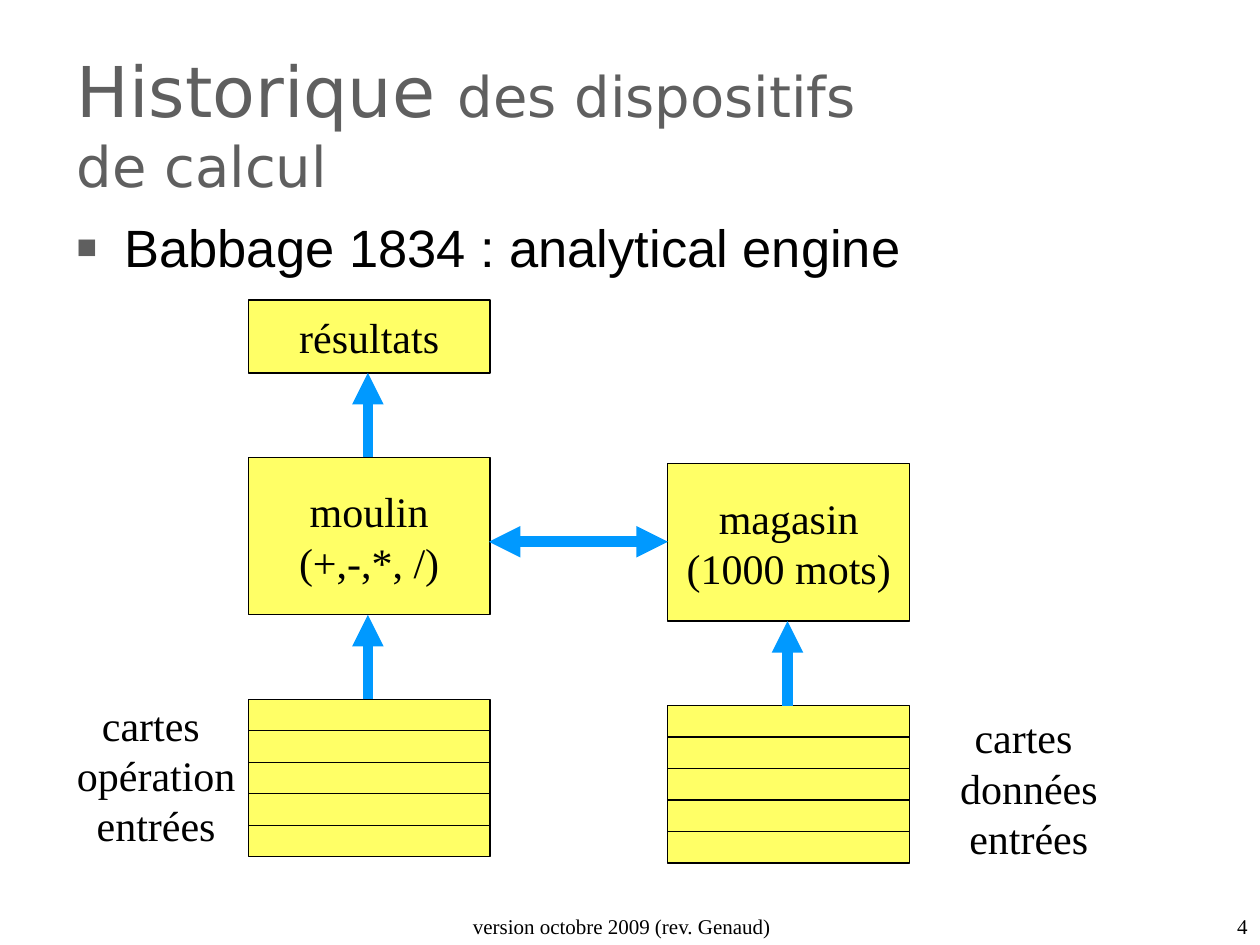
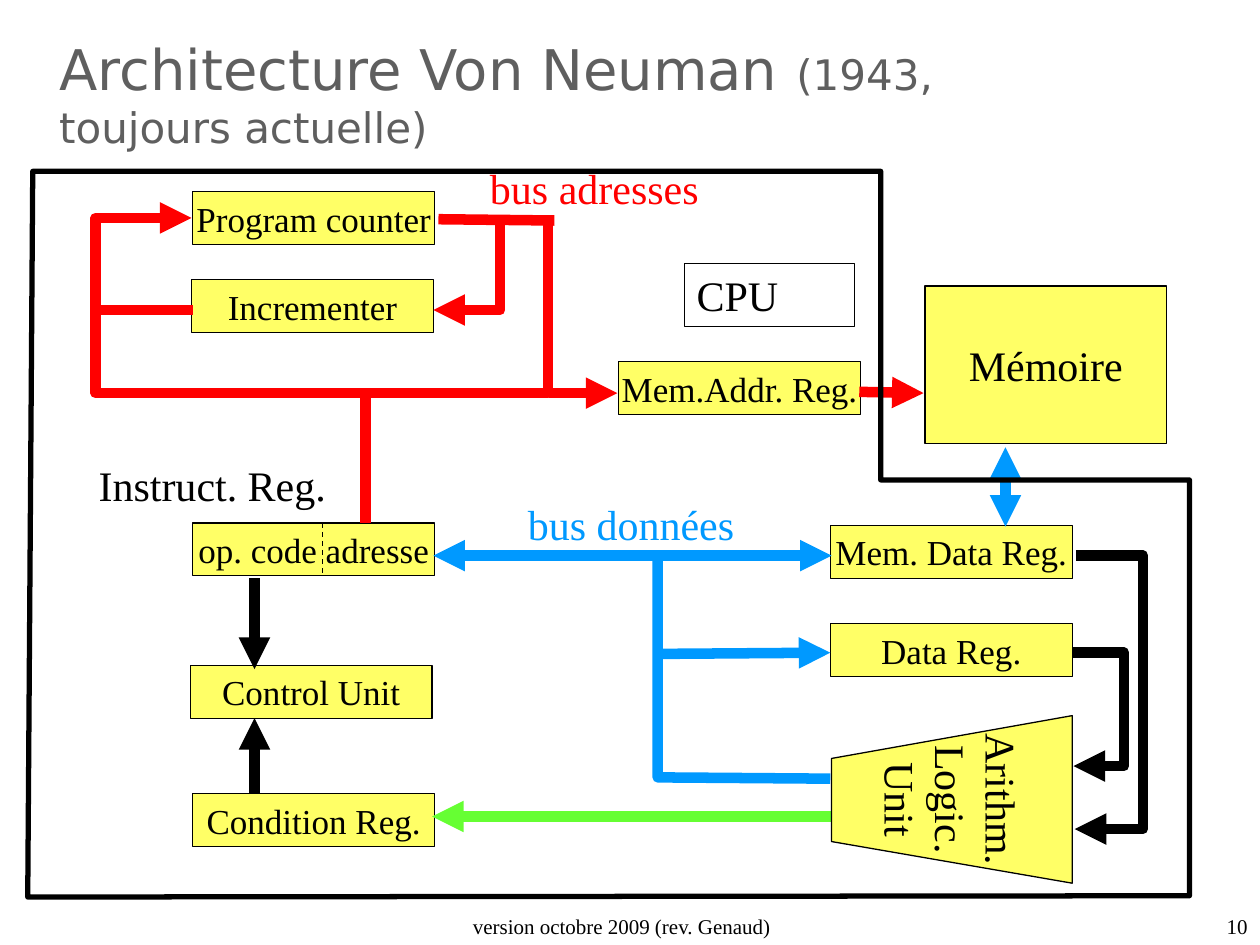
"""Build two slides on the history of computing: Babbage's engine and the Von Neumann machine."""
from dataclasses import dataclass
from typing import Any

from lxml import etree
from pptx import Presentation
from pptx.dml.color import RGBColor
from pptx.enum.dml import MSO_LINE
from pptx.enum.shapes import MSO_CONNECTOR, MSO_SHAPE
from pptx.enum.text import MSO_ANCHOR, MSO_AUTO_SIZE, PP_ALIGN
from pptx.oxml.ns import qn
from pptx.util import Cm, Pt

STRAIGHT = MSO_CONNECTOR.STRAIGHT
RECTANGLE = MSO_SHAPE.RECTANGLE
DASH = MSO_LINE.DASH
TOP, MIDDLE, BOTTOM = MSO_ANCHOR.TOP, MSO_ANCHOR.MIDDLE, MSO_ANCHOR.BOTTOM
LEFT, CENTER, RIGHT = PP_ALIGN.LEFT, PP_ALIGN.CENTER, PP_ALIGN.RIGHT
NO_AUTOFIT = MSO_AUTO_SIZE.NONE

COLORS = {
    "title": "5F5F5F",
    "ink": "000000",
    "box": "FFFF66",
    "data": "0099FF",
    "address": "FF0000",
    "status": "66FF33",
}
SERIF, SANS, TITLE_FONT = "Times New Roman", "Arial", "DejaVu Sans"
CM_PER_INCH = 2.54
BOX_WIDTH = 1.92
TALL, LOW = 1.25, 0.42
THIN, FRAME, BUS = 0.75, 3, 6
CARDS_PER_STACK = 5

Point = tuple[float, float]


@dataclass(frozen=True)
class Box:
    text: str
    left: float
    top: float
    height: float = LOW
    size: int = 20


@dataclass(frozen=True)
class Label:
    text: str
    left: float
    top: float
    width: float
    height: float = 0.5
    size: int = 24
    color: str = "ink"
    align: Any = LEFT
    anchor: Any = TOP
    wrap: bool = True
    font: str = SERIF


@dataclass(frozen=True)
class Flow:
    color: str
    points: tuple[Point, ...]
    start_arrow: bool = False
    end_arrow: bool = True


def length(inches: float) -> Cm:
    return Cm(inches * CM_PER_INCH)


def rgb(color: str) -> RGBColor:
    return RGBColor.from_string(COLORS[color])


def style_run(run: Any, size: int, color: str, font: str) -> None:
    for key, value in {"name": font, "size": Pt(size), "bold": False}.items():
        setattr(run.font, key, value)
    run.font.color.rgb = rgb(color)


def write(shape: Any, text: str, size: int, color: str = "ink", align: Any = CENTER,
          anchor: Any = MIDDLE, wrap: bool = False, font: str = SERIF) -> None:
    frame = shape.text_frame
    layout = {
        "word_wrap": wrap,
        "vertical_anchor": anchor,
        "margin_left": length(0.1),
        "margin_right": length(0.1),
        "margin_top": length(0.05),
        "margin_bottom": length(0.05),
    }
    for key, value in layout.items():
        setattr(frame, key, value)
    frame.text = text
    for paragraph in frame.paragraphs:
        paragraph.alignment = align
        for run in paragraph.runs:
            style_run(run, size, color, font)


def outline(shape: Any, color: str = "ink", width: float = THIN) -> None:
    shape.line.color.rgb = rgb(color)
    shape.line.width = Pt(width)


def fill_box(shape: Any) -> None:
    shape.shadow.inherit = False
    shape.fill.solid()
    shape.fill.fore_color.rgb = rgb("box")
    outline(shape)


def draw_box(slide: Any, box: Box) -> None:
    shape = slide.shapes.add_shape(RECTANGLE, length(box.left), length(box.top),
                                   length(BOX_WIDTH), length(box.height))
    fill_box(shape)
    if box.text:
        write(shape, box.text, box.size)


def draw_label(slide: Any, label: Label) -> Any:
    shape = slide.shapes.add_textbox(length(label.left), length(label.top),
                                     length(label.width), length(label.height))
    write(shape, label.text, label.size, label.color, label.align,
          label.anchor, label.wrap, label.font)
    return shape


def draw_line(slide: Any, start: Point, end: Point, color: str = "ink",
              width: float = THIN) -> Any:
    line = slide.shapes.add_connector(STRAIGHT, *map(length, start + end))
    outline(line, color, width)
    etree.SubElement(line._element.spPr, qn("a:effectLst"))
    return line


def draw_outline(slide: Any, points: tuple[Point, ...], closed: bool) -> Any:
    corners = [(length(x), length(y)) for x, y in points]
    builder = slide.shapes.build_freeform(*corners[0], scale=1.0)
    builder.add_line_segments(corners[1:], close=closed)
    shape = builder.convert_to_shape()
    shape.shadow.inherit = False
    shape.fill.background()
    return shape


def round_corners(shape: Any) -> None:
    etree.SubElement(shape.line._get_or_add_ln(), qn("a:round"))


def draw_flow(slide: Any, flow: Flow) -> None:
    if len(flow.points) == 2:
        shape = draw_line(slide, *flow.points, flow.color, BUS)
    else:
        shape = draw_outline(slide, flow.points, closed=False)
        outline(shape, flow.color, BUS)
    round_corners(shape)
    ends = {"a:headEnd": flow.start_arrow, "a:tailEnd": flow.end_arrow}
    for tag, present in ends.items():
        if present:
            etree.SubElement(shape.line._get_or_add_ln(), qn(tag), type="triangle")


def draw_card_stack(slide: Any, left: float, top: float) -> None:
    draw_box(slide, Box("", left, top, TALL))
    for card in range(1, CARDS_PER_STACK):
        y = top + card * TALL / CARDS_PER_STACK
        draw_line(slide, (left, y), (left + BOX_WIDTH, y))


def add_slide(deck: Any, number: str, area: tuple[float, float, float, float],
              title_parts: tuple[tuple[str, int], ...]) -> Any:
    slide = deck.slides.add_slide(deck.slide_layouts[5])
    title = slide.shapes.title
    for key, value in zip(("left", "top", "width", "height"), area):
        setattr(title, key, length(value))
    frame = title.text_frame
    layout = {
        "auto_size": NO_AUTOFIT,
        "word_wrap": True,
        "vertical_anchor": TOP,
        "margin_left": length(0.1),
        "margin_right": length(0.1),
        "margin_top": length(0.1),
    }
    for key, value in layout.items():
        setattr(frame, key, value)
    heading = frame.paragraphs[0]
    heading.alignment = LEFT
    for text, size in title_parts:
        run = heading.add_run()
        run.text = text
        style_run(run, size, "title", TITLE_FONT)
    draw_label(slide, Label("version octobre 2009 (rev. Genaud)", 3.35, 7.14, 3.17, 0.36,
                            12, align=CENTER, anchor=BOTTOM))
    draw_label(slide, Label(number, 7.67, 7.14, 2.33, 0.36, 12, align=RIGHT, anchor=BOTTOM))
    return slide


def add_bullet(paragraph: Any) -> None:
    properties = paragraph._p.get_or_add_pPr()
    properties.set("marL", str(length(0.38)))
    properties.set("indent", str(-length(0.38)))
    tint = etree.SubElement(properties, qn("a:buClr"))
    etree.SubElement(tint, qn("a:srgbClr"), val=COLORS["title"])
    etree.SubElement(properties, qn("a:buSzPct"), val="65000")
    etree.SubElement(properties, qn("a:buFont"), typeface=SANS)
    etree.SubElement(properties, qn("a:buChar"), char="■")


def build_babbage(deck: Any) -> None:
    slide = add_slide(deck, "4", (0.51, 0.28, 6.7, 0.88),
                      (("Historique ", 40), ("des dispositifs de calcul", 32)))
    topic = draw_label(slide, Label("Babbage 1834 : analytical engine", 0.51, 1.66, 9, 0.6,
                                    30, font=SANS))
    add_bullet(topic.text_frame.paragraphs[0])
    mill_left, store_left = 1.97, 5.3
    for box in (
        Box("résultats", mill_left, 2.38, 0.58, 24),
        Box("magasin\n(1000 mots)", store_left, 3.68, TALL, 24),
        Box("moulin\n(+,-,*, /)", mill_left, 3.63, TALL, 24),
    ):
        draw_box(slide, box)
    draw_card_stack(slide, mill_left, 5.55)
    draw_card_stack(slide, store_left, 5.6)
    for text, left, top, width in (
        ("cartes \nopération\nentrées", 0.51, 5.5, 1.46),
        ("cartes \ndonnées\nentrées", 7.52, 5.6, 1.29),
    ):
        draw_label(slide, Label(text, left, top, width, 1.3, align=CENTER, wrap=False))
    for flow in (
        Flow("data", ((2.92, 5.55), (2.92, 4.88))),
        Flow("data", ((6.25, 5.6), (6.25, 4.93))),
        Flow("data", ((2.92, 3.63), (2.92, 2.96))),
        Flow("data", ((3.88, 4.3), (5.3, 4.3)), start_arrow=True),
    ):
        draw_flow(slide, flow)


def build_von_neumann(deck: Any) -> None:
    slide = add_slide(deck, "10", (0.37, 0.17, 7.33, 1.04),
                      (("Architecture Von Neuman ", 32), ("(1943, toujours actuelle)", 24)))
    for box in (
        Box("Program counter", 1.53, 1.52),
        Box("Incrementer", 1.52, 2.22),
        Box("Mémoire", 7.34, 2.27, TALL, 24),
        Box("Mem.Addr. Reg.", 4.91, 2.87),
        Box("Mem. Data Reg.", 6.59, 4.17),
        Box("Data Reg.", 6.59, 4.95),
        Box("op. code adresse", 1.53, 4.15),
        Box("Control Unit", 1.51, 5.28),
        Box("Condition Reg.", 1.53, 6.3),
    ):
        draw_box(slide, box)
    field_divider = draw_line(slide, (2.56, 4.15), (2.56, 4.57))
    field_divider.line.dash_style = DASH
    for flow in (
        Flow("address", ((1.53, 2.46), (0.76, 2.46)), end_arrow=False),
        Flow("address", ((2.9, 4.15), (2.9, 3.13)), end_arrow=False),
        Flow("ink", ((2.02, 4.59), (2.02, 5.31))),
        Flow("status", ((6.61, 6.48), (3.43, 6.48))),
        Flow("ink", ((8.54, 4.41), (9.07, 4.41), (9.07, 6.58), (8.53, 6.58))),
        Flow("ink", ((8.52, 5.18), (8.92, 5.18), (8.92, 6.08), (8.52, 6.08))),
        Flow("data", ((5.22, 4.43), (5.22, 6.17), (6.59, 6.18)), end_arrow=False),
        Flow("address", ((3.48, 1.74), (4.4, 1.75)), end_arrow=False),
        Flow("data", ((3.44, 4.41), (6.6, 4.41)), start_arrow=True),
        Flow("address", ((6.82, 3.11), (7.33, 3.12))),
        Flow("data", ((7.98, 4.18), (7.98, 3.55)), start_arrow=True),
        Flow("address", ((3.97, 1.74), (3.97, 2.46), (3.44, 2.46))),
        Flow("address", ((4.35, 1.73), (4.35, 3.12), (0.76, 3.12), (0.76, 1.73), (1.52, 1.73))),
        Flow("data", ((5.21, 5.19), (6.59, 5.18))),
        Flow("ink", ((2.02, 6.29), (2.02, 5.7))),
        Flow("address", ((4.36, 3.12), (4.9, 3.12))),
    ):
        draw_flow(slide, flow)
    for label in (
        Label("Instruct. Reg.", 0.56, 3.6, 2.25, align=CENTER),
        Label("bus données", 4.09, 3.91, 2.31, color="data"),
        Label("bus adresses", 3.79, 1.24, 2.31, color="address"),
    ):
        draw_label(slide, label)
    logic_unit = draw_outline(slide, ((6.89, 5.39), (8.22, 5.39), (7.89, 7.3), (7.23, 7.3)), True)
    fill_box(logic_unit)
    write(logic_unit, "Arithm.\nLogic.\nUnit", 24)
    logic_unit.rotation = 90
    cpu_frame = draw_outline(slide, ((0.26, 1.36), (6.99, 1.36), (6.99, 3.81), (9.44, 3.81),
                                     (9.44, 7.11), (0.22, 7.12)), True)
    outline(cpu_frame, width=FRAME)
    round_corners(cpu_frame)
    outline(draw_label(slide, Label("CPU", 5.43, 2.09, 1.35)))


presentation = Presentation()
presentation.slide_width = length(10)
presentation.slide_height = length(7.5)
build_babbage(presentation)
build_von_neumann(presentation)
presentation.save("out.pptx")
